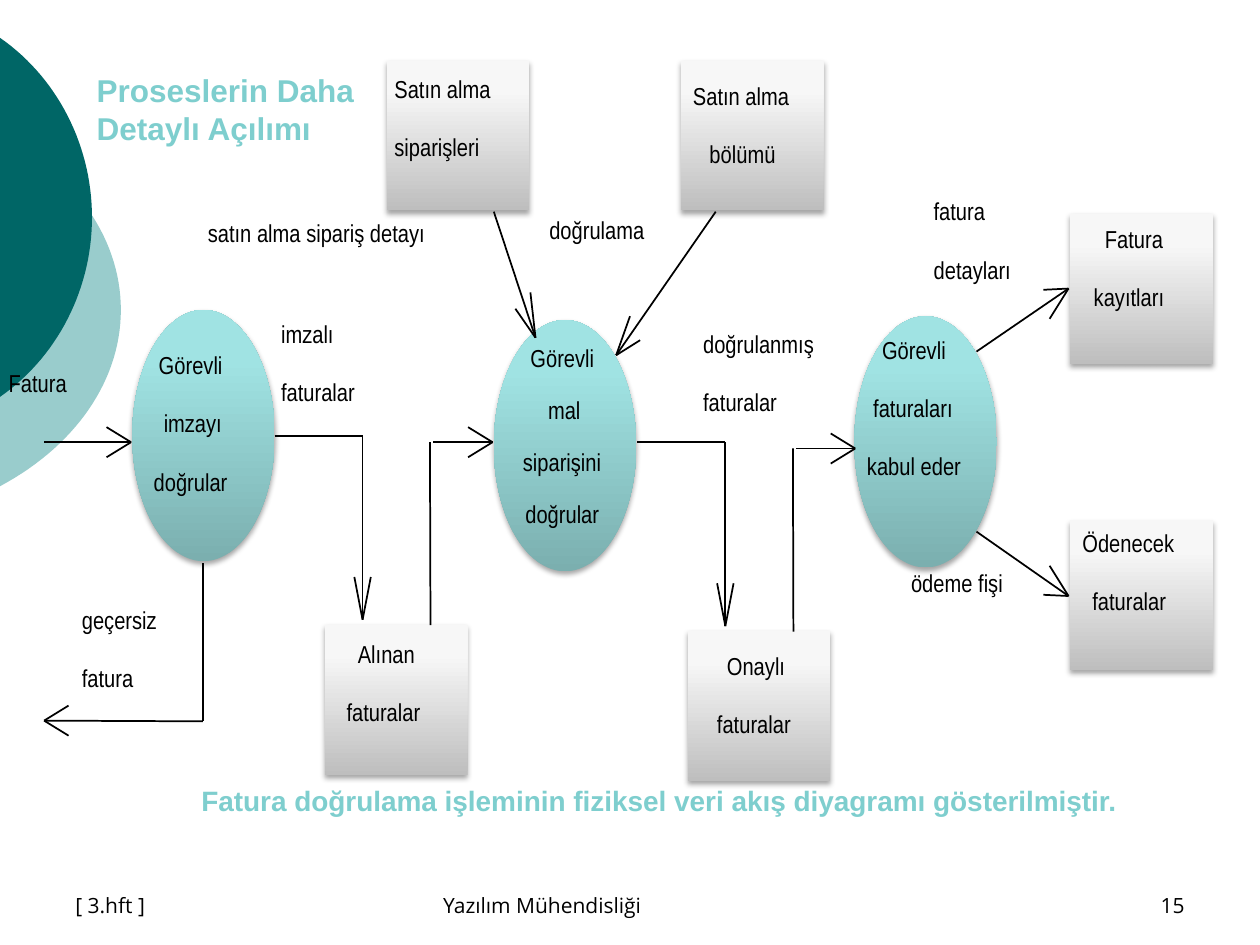
from dataclasses import dataclass

from pptx import Presentation
from pptx.dml.color import RGBColor
from pptx.enum.shapes import MSO_CONNECTOR, MSO_SHAPE
from pptx.enum.text import MSO_ANCHOR, MSO_AUTO_SIZE, PP_ALIGN
from pptx.oxml import parse_xml
from pptx.oxml.ns import nsdecls
from pptx.util import Pt

OVAL, RECT = MSO_SHAPE.OVAL, MSO_SHAPE.RECTANGLE
STRAIGHT = MSO_CONNECTOR.STRAIGHT
TOP, MID, LOW = MSO_ANCHOR.TOP, MSO_ANCHOR.MIDDLE, MSO_ANCHOR.BOTTOM
LEFT, RIGHT = PP_ALIGN.LEFT, PP_ALIGN.RIGHT
GROW, FIXED = MSO_AUTO_SIZE.SHAPE_TO_FIT_TEXT, MSO_AUTO_SIZE.NONE

HEX = {
    "ink": "000000", "pale": "99CCCC", "deep": "006666",
    "teal0": "7BAFAF", "teal1": "A0E3E3", "teal2": "9FE5E5",
    "grey0": "BEBEBE", "grey1": "F7F7F7", "grey2": "F8F8F8",
    "mint0": "396868", "mint1": "7ECECE", "mint2": "F2FAFA",
}
TEAL = ((0, "teal0"), (80, "teal1"), (100, "teal2"))
GREY = ((0, "grey0"), (80, "grey1"), (100, "grey2"))
MINT = ((0, "mint0"), (78, "mint1"), (100, "mint2"))
SLACK = 3

Spot = tuple[float, float]


@dataclass
class Node:
    x: float
    y: float
    w: float = 81.4
    h: float = 85.7
    kind: int = RECT
    stops: tuple = GREY


@dataclass
class Flow:
    route: tuple[Spot, ...]
    barbs: tuple[Spot, ...] = ()


@dataclass
class Label:
    y: float
    lines: tuple[tuple[str, float, float], ...]
    step: float = 33.2


@dataclass
class Block:
    box: tuple[float, float, float, float]
    lines: tuple[str, ...]
    size: float
    font: str
    bold: bool = False
    stops: tuple = ()
    side: int = LEFT
    hold: int = LOW
    pads: tuple[float, float, float, float] = (7.2, 3.6, 7.2, 3.6)
    wrap: bool = True
    fit: int = FIXED


EAST = ((-14, 8.6), (-14, -8.6))
WEST = ((14, -8.6), (14, 8.6))
SOUTH = ((-4.7, -24.5), (4.7, -24.5))

ARCS = (
    ("pale", ((0, 76.3), (43.2, 99.4), (69.1, 136.8), (69.1, 177.1))),
    ("deep", ((0, 21.6), (33.1, 44.6), (52.6, 83.5), (52.6, 124.2))),
)
NODES = [Node(x, y, 81.4, 143.6, OVAL, TEAL)
         for x, y in ((75.6, 177.1), (282.2, 182.9), (488.2, 180.7))]
NODES += [Node(x, y) for x, y in (
    (185.8, 357.1), (221, 34.6), (389.3, 34.6), (393.1, 360.7))]
NODES += [Node(611.3, y, 82.1) for y in (122.4, 297.4)]

FLOWS = (
    Flow(((25.2, 252.7), (74.9, 252.7)), EAST),
    Flow(((157, 249.1), (207.2, 249.1), (207.2, 354.2)), SOUTH),
    Flow(((246, 357.3), (245.7, 252.7))),
    Flow(((247.7, 252.7), (281.5, 252.7)), EAST),
    Flow(((364.3, 252.7), (414.5, 252.7), (414.5, 357.8)), SOUTH),
    Flow(((453.4, 360.9), (453.1, 256.3))),
    Flow(((455, 256.3), (488.7, 256.3)), EAST),
    Flow(((115.9, 321.8), (115.9, 412.2), (25.2, 411.8)), WEST),
    Flow(((409, 121), (352.1, 203)), ((7.9, -22.3), (13.7, -8.6))),
    Flow(((558, 200.9), (610.6, 164.9)), ((-10.8, 17.3), (-14.4, 0.7))),
    Flow(((558, 303.8), (610.6, 340.6)), ((-10.8, -17.3), (-14.4, -0.7))),
    Flow(((282.2, 121), (306, 193)), ((-11.5, -16.6), (-2.9, -25.9))),
)
LABELS = (
    Label(210.2, (("Fatura", 5, 33.8),)),
    Label(200.2, (("Görevli", 90.7, 36.7), ("imzayı", 93.6, 33.8),
                  ("doğrular", 87.8, 42.5))),
    Label(345.6, (("geçersiz", 46.8, 43.2), ("fatura", 46.8, 29.5))),
    Label(182.5, (("imzalı", 160.6, 30.2), ("faturalar", 160.6, 42.5))),
    Label(365, (("Alınan", 204.5, 32.4), ("faturalar", 198, 42.5))),
    Label(195.8, (("Görevli", 303.1, 36.7), ("mal", 313.2, 18.7),
                  ("siparişini", 298.8, 44.6), ("doğrular", 300.2, 42.5)), 29.8),
    Label(42.5, (("Satın alma", 225.4, 55.4), ("siparişleri", 225.4, 49))),
    Label(46.1, (("Satın alma", 396, 55.4), ("bölümü", 405.4, 38.2))),
    Label(123.1, (("doğrulama", 313.9, 54.7),)),
    Label(187.9, (("doğrulanmış", 401.8, 63.4), ("faturalar", 401.8, 42.5))),
    Label(372.2, (("Onaylı", 415.4, 33.1), ("faturalar", 409.7, 42.5))),
    Label(191.5, (("Görevli", 504, 36.7), ("faturaları", 499, 46.1),
                  ("kabul eder", 495.4, 54))),
    Label(124.6, (("satın alma sipariş detayı", 118.8, 125.3),)),
    Label(112.3, (("fatura", 533.5, 29.5), ("detayları", 533.5, 44.6))),
    Label(324.7, (("ödeme fişi", 520.6, 52.6),)),
    Label(128.2, (("Fatura", 631.4, 33.8), ("kayıtları", 625, 40.3))),
    Label(301.7, (("Ödenecek", 618.5, 52.6), ("faturalar", 624.2, 42.5))),
)
BLOCKS = (
    Block((108, 444.2, 550.1, 26.6),
          ("Fatura doğrulama işleminin fiziksel veri akış diyagramı gösterilmiştir. ",),
          16, "Arial", True, MINT, hold=MID, wrap=False, fit=GROW),
    Block((48.2, 36.7, 181.4, 68.4), ("Proseslerin Daha ", "Detaylı Açılımı"),
          18, "Arial", True, MINT, hold=TOP, pads=(7.2, 3.8, 7.2, 0)),
    Block((36, 491.8, 167.8, 36), ("[ 3.hft ]",), 12, "Open Sans"),
    Block((246.2, 491.8, 228.2, 36), ("Yazılım Mühendisliği",), 12, "Open Sans"),
    Block((516.2, 491.8, 167.8, 36), ("15",), 12, "Open Sans", side=RIGHT),
)


def blend(stops: tuple, turn: int):
    marks = "".join(f'<a:gs pos="{at * 1000}"><a:srgbClr val="{HEX[tint]}"/></a:gs>'
                    for at, tint in stops)
    return parse_xml(f'<a:gradFill {nsdecls("a")} rotWithShape="1"><a:gsLst>{marks}'
                     f'</a:gsLst><a:lin ang="{turn * 60000}" scaled="0"/></a:gradFill>')


def draw_arc(tint: str, bend: tuple[Spot, ...], count: int = 30) -> None:
    half = []
    for i in range(count + 1):
        t = i / count
        parts = ((1 - t) ** 3, 3 * t * (1 - t) ** 2, 3 * t * t * (1 - t), t ** 3)
        half.append(tuple(sum(k * p[axis] for k, p in zip(parts, bend))
                          for axis in (0, 1)))
    base = bend[-1][1]
    dots = half + [(x, 2 * base - y) for x, y in half[-2::-1]]
    pen = shapes.build_freeform(Pt(dots[0][0]), Pt(dots[0][1]))
    pen.add_line_segments([(Pt(x), Pt(y)) for x, y in dots[1:]], close=True)
    arc = pen.convert_to_shape()
    arc.fill.solid()
    arc.fill.fore_color.rgb = RGBColor.from_string(HEX[tint])
    arc.line.fill.background()
    arc.shadow.inherit = False


def draw_node(node: Node) -> None:
    form = shapes.add_shape(node.kind, Pt(node.x), Pt(node.y), Pt(node.w), Pt(node.h))
    form.line.fill.background()
    form.shadow.inherit = False
    prop = form._element.spPr
    prop.insert(2, blend(node.stops, 270))
    prop.find("{*}effectLst").append(parse_xml(
        f'<a:outerShdw {nsdecls("a")} blurRad="{Pt(3.1)}" dist="{Pt(1.8)}" '
        f'dir="5400000" rotWithShape="0"><a:srgbClr val="{HEX["ink"]}">'
        '<a:alpha val="35000"/></a:srgbClr></a:outerShdw>'))


def draw_line(start: Spot, end: Spot) -> None:
    line = shapes.add_connector(STRAIGHT, *(Pt(v) for v in (*start, *end)))
    line.line.width = Pt(1)
    line.line.color.rgb = RGBColor.from_string(HEX["ink"])
    line._element.spPr.append(parse_xml(f'<a:effectLst {nsdecls("a")}/>'))


def draw_flow(flow: Flow) -> None:
    for start, end in zip(flow.route, flow.route[1:]):
        draw_line(start, end)
    x, y = flow.route[-1]
    for dx, dy in flow.barbs:
        draw_line((x, y), (x + dx, y + dy))


def draw_block(block: Block) -> None:
    frame = shapes.add_textbox(*(Pt(v) for v in block.box)).text_frame
    frame.word_wrap = block.wrap
    frame.auto_size = block.fit
    frame.vertical_anchor = block.hold
    (frame.margin_left, frame.margin_top,
     frame.margin_right, frame.margin_bottom) = (Pt(v) for v in block.pads)
    for i, words in enumerate(block.lines):
        para = frame.add_paragraph() if i else frame.paragraphs[0]
        para.alignment = block.side
        run = para.add_run()
        run.text = words
        run.font.size = Pt(block.size)
        run.font.name = block.font
        run.font.bold = block.bold
        if block.stops:
            run.font._element.insert(0, blend(block.stops, 90))
        else:
            run.font.color.rgb = RGBColor.from_string(HEX["ink"])


def draw_label(label: Label) -> None:
    for i, (words, x, w) in enumerate(label.lines):
        draw_block(Block((x, label.y + i * label.step, w + SLACK, 16.6), (words,),
                         14, "Arial Narrow", hold=TOP, pads=(0, 0, 0, 0)))


deck = Presentation()
deck.slide_width, deck.slide_height = Pt(720), Pt(540)
shapes = deck.slides.add_slide(deck.slide_layouts[6]).shapes
for tint, bend in ARCS:
    draw_arc(tint, bend)
for node in NODES:
    draw_node(node)
for flow in FLOWS:
    draw_flow(flow)
for label in LABELS:
    draw_label(label)
for block in BLOCKS:
    draw_block(block)
deck.save("out.pptx")
